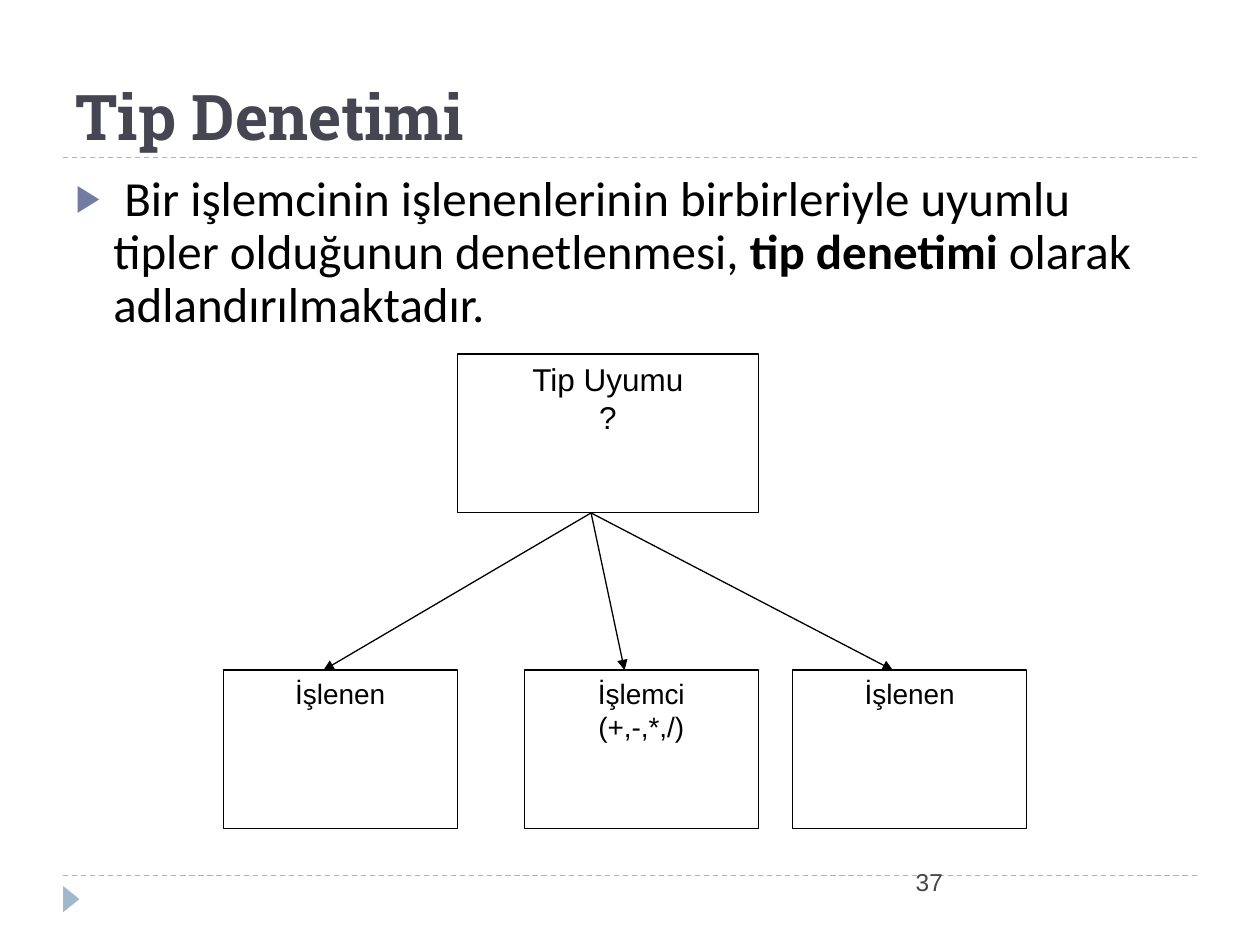
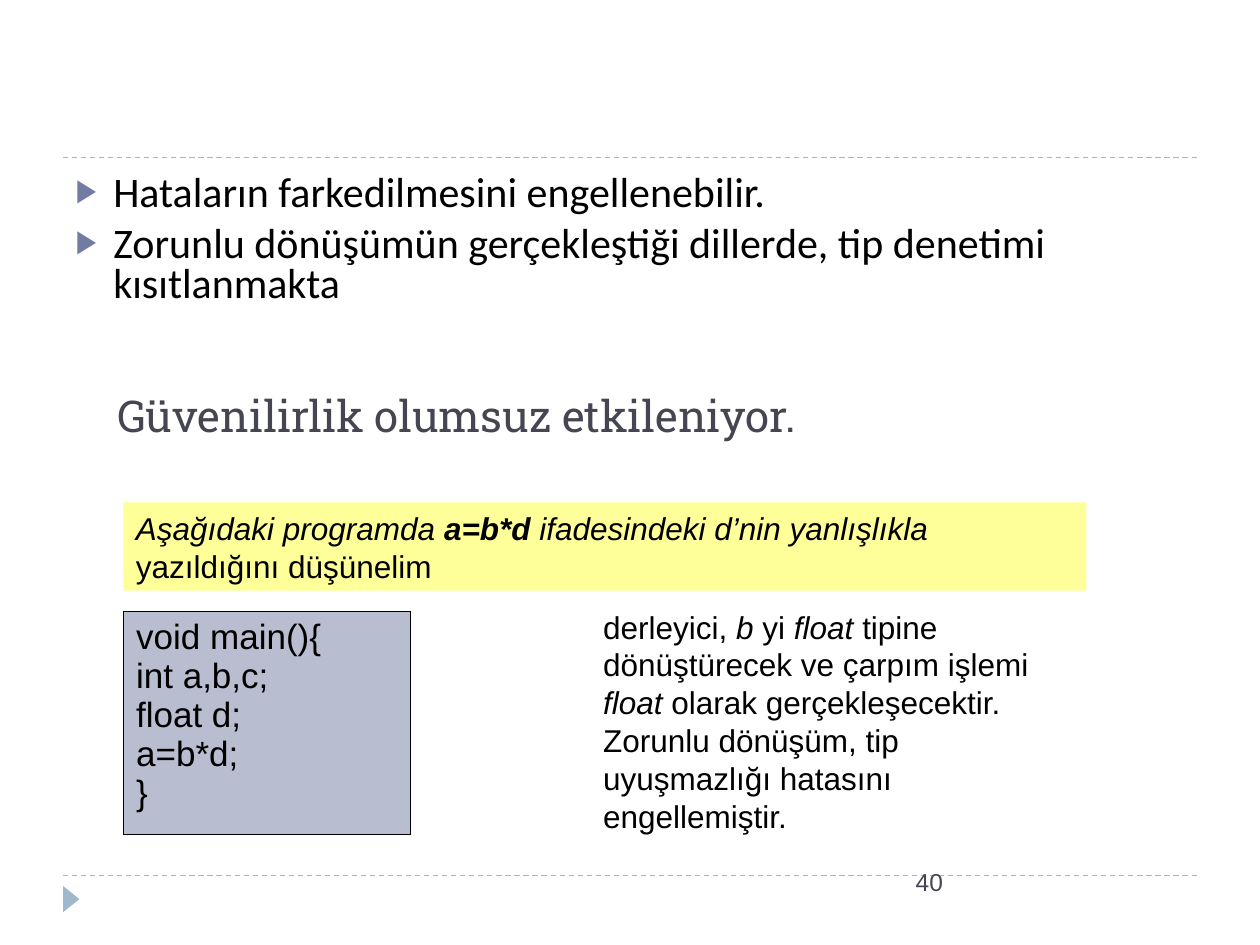
from dataclasses import dataclass

from lxml.etree import SubElement
from pptx import Presentation
from pptx.dml.color import RGBColor
from pptx.enum.dml import MSO_LINE
from pptx.enum.shapes import MSO_CONNECTOR, MSO_SHAPE
from pptx.enum.text import MSO_ANCHOR, MSO_AUTO_SIZE, PP_ALIGN
from pptx.oxml.ns import qn
from pptx.util import Cm, Pt


@dataclass(frozen=True)
class Theme:
    ink: RGBColor = RGBColor.from_string("000000")
    paper: RGBColor = RGBColor.from_string("FFFFFF")
    heading: RGBColor = RGBColor.from_string("464653")
    accent: RGBColor = RGBColor.from_string("727CA3")
    rule: RGBColor = RGBColor.from_string("9FB8CD")
    highlight: RGBColor = RGBColor.from_string("FFFF99")
    title_font: str = "Roboto Slab"
    body_font: str = "Calibri"
    label_font: str = "Arial"
    code_size: int = 20
    note_size: int = 18
    box_size: int = 16
    number_size: int = 14
    line_width: float = 0.75


theme = Theme()


def add_xml(parent, tag, **attributes):
    return SubElement(parent, qn(tag), attributes)


def write(frame, paragraphs, size, font=theme.label_font, colour=theme.ink,
          alignment=PP_ALIGN.LEFT, anchor=MSO_ANCHOR.TOP):
    frame.word_wrap = True
    frame.vertical_anchor = anchor
    for index, runs in enumerate(paragraphs):
        paragraph = frame.add_paragraph() if index else frame.paragraphs[0]
        paragraph.alignment = alignment
        for text, style in runs:
            run = paragraph.add_run()
            run.text = text
            run.font.name = font
            run.font.size = Pt(size)
            run.font.bold = "b" in style
            run.font.italic = "i" in style
            run.font.color.rgb = colour


presentation = Presentation()
presentation.slide_width = Cm(25.4)
presentation.slide_height = Cm(19.05)
layout = presentation.slide_layouts[1]

pages = [
    dict(
        number="37",
        title="Tip Denetimi", title_style="b", title_size=36,
        title_place=(1.27, 2.11, 22.86, 0.97),
        body_place=(1.27, 3.38, 22.63, 3.81), body_size=28, line_spacing=0.9,
        body=[[
            (" Bir işlemcinin işlenenlerinin birbirleriyle uyumlu tipler "
             "olduğunun denetlenmesi,", ""),
            (" tip denetimi", "b"),
            (" olarak adlandırılmaktadır.", ""),
        ]],
    ),
    dict(
        number="40",
        title="Güvenilirlik olumsuz etkileniyor.", title_style="", title_size=25,
        title_place=(2.11, 8.13, 22.86, 0.76),
        body_place=(1.27, 3.4, 22.43, 3.53), body_size=24, line_spacing=0.8,
        body=[
            [("Hataların farkedilmesini engellenebilir.", "")],
            [("Zorunlu dönüşümün gerçekleştiği dillerde, tip denetimi kısıtlanmakta", "")],
        ],
    ),
]

for page in pages:
    slide = presentation.slides.add_slide(layout)
    title, body = slide.placeholders
    for placeholder, place in ((title, page["title_place"]), (body, page["body_place"])):
        placeholder.left, placeholder.top, placeholder.width, placeholder.height = map(Cm, place)
        placeholder.text_frame.auto_size = MSO_AUTO_SIZE.NONE

    write(title.text_frame, [[(page["title"], page["title_style"])]], page["title_size"],
          theme.title_font, theme.heading, anchor=MSO_ANCHOR.BOTTOM)
    title.text_frame.margin_top = title.text_frame.margin_bottom = 0

    write(body.text_frame, page["body"], page["body_size"], theme.body_font)
    for paragraph in body.text_frame.paragraphs:
        paragraph.line_spacing = page["line_spacing"]
        paragraph.space_before = Pt(6)
        properties = paragraph._p.get_or_add_pPr()
        properties.set("marL", str(Cm(0.76)))
        properties.set("indent", str(Cm(-0.76)))
        add_xml(add_xml(properties, "a:buClr"), "a:srgbClr", val=str(theme.accent))
        add_xml(properties, "a:buSzPct", val="76000")
        add_xml(properties, "a:buChar", char="▶")

    number_box = slide.shapes.add_textbox(Cm(18.21), Cm(17.35), Cm(5.92), Cm(1.32))
    write(number_box.text_frame, [[(page["number"], "")]], theme.number_size,
          colour=theme.heading)

checking_slide, conversion_slide = presentation.slides

for rule_top in (17.65, 3.18):
    rule = checking_slide.shapes.add_connector(
        MSO_CONNECTOR.STRAIGHT, Cm(1.27), Cm(rule_top), Cm(24.13), Cm(rule_top))
    rule.line.color.rgb = theme.rule
    rule.line.width = Pt(theme.line_width)
    rule.line.dash_style = MSO_LINE.DASH
    add_xml(rule.element.spPr, "a:effectLst")
    layout.shapes.element.append(rule.element)

marker = checking_slide.shapes.add_shape(
    MSO_SHAPE.ISOSCELES_TRIANGLE, Cm(1.17), Cm(17.96), Cm(0.53), Cm(0.33))
marker.rotation = 90
marker.shadow.inherit = False
marker.fill.solid()
marker.fill.fore_color.rgb = theme.rule
marker.line.fill.background()
layout.shapes.element.append(marker.element)

root_left, root_top, root_width, box_height = 9.22, 7.14, 6.07, 3.2
child_top, child_width, arrow_shift = 13.51, 4.72, -0.34
boxes = [
    (root_left, root_top, root_width, theme.note_size, ["Tip Uyumu", "?"]),
    (4.5, child_top, child_width, theme.box_size, ["İşlenen"]),
    (10.57, child_top, child_width, theme.box_size, ["İşlemci", "(+,-,*,/)"]),
    (15.98, child_top, child_width, theme.box_size, ["İşlenen"]),
]
diagram = checking_slide.shapes.add_group_shape()
for left, top, width, size, lines in boxes:
    box = diagram.shapes.add_shape(
        MSO_SHAPE.RECTANGLE, Cm(left), Cm(top), Cm(width), Cm(box_height))
    box.shadow.inherit = False
    box.fill.solid()
    box.fill.fore_color.rgb = theme.paper
    box.line.color.rgb = theme.ink
    box.line.width = Pt(theme.line_width)
    write(box.text_frame, [[(line, "")] for line in lines], size,
          alignment=PP_ALIGN.CENTER)

for left, top, width, size, lines in boxes[1:]:
    arrow = diagram.shapes.add_connector(
        MSO_CONNECTOR.STRAIGHT,
        Cm(root_left + root_width / 2 + arrow_shift), Cm(root_top + box_height),
        Cm(left + width / 2 + arrow_shift), Cm(top))
    arrow.line.color.rgb = theme.ink
    arrow.line.width = Pt(theme.line_width)
    add_xml(arrow.line._get_or_add_ln(), "a:tailEnd", type="triangle")
    add_xml(arrow.element.spPr, "a:effectLst")

code_table = conversion_slide.shapes.add_table(
    1, 1, Cm(2.49), Cm(12.32), Cm(5.79), Cm(4.5)).table
code_cell = code_table.cell(0, 0)
code_lines = ["void main(){", "int a,b,c;", "float d;", "a=b*d;", "}"]
write(code_cell.text_frame, [[(line, "")] for line in code_lines], theme.code_size,
      alignment=PP_ALIGN.JUSTIFY)
cell_properties = code_cell._tc.get_or_add_tcPr()
for side in ("a:lnL", "a:lnR", "a:lnT", "a:lnB"):
    border = add_xml(cell_properties, side, w=str(Pt(0.45)))
    add_xml(add_xml(border, "a:solidFill"), "a:srgbClr", val=str(theme.ink))
cell_fill = add_xml(add_xml(cell_properties, "a:solidFill"), "a:srgbClr",
                    val=str(theme.accent))
add_xml(cell_fill, "a:alpha", val="50000")

explanation = conversion_slide.shapes.add_textbox(Cm(11.91), Cm(12.12), Cm(9.6), Cm(4.83))
write(explanation.text_frame, [[
    ("derleyici, ", ""),
    ("b", "i"),
    (" yi", ""),
    (" float", "i"),
    (" tipine dönüştürecek ve çarpım işlemi ", ""),
    ("float", "i"),
    (" olarak gerçekleşecektir. Zorunlu dönüşüm, tip uyuşmazlığı hatasını "
     "engellemiştir.", ""),
]], theme.note_size, anchor=MSO_ANCHOR.MIDDLE)

premise = conversion_slide.shapes.add_shape(
    MSO_SHAPE.RECTANGLE, Cm(2.49), Cm(10.13), Cm(19.41), Cm(1.78))
premise.shadow.inherit = False
premise.fill.solid()
premise.fill.fore_color.rgb = theme.highlight
premise.line.fill.background()
write(premise.text_frame, [[
    ("Aşağıdaki programda ", "i"),
    ("a=b*d", "bi"),
    (" ifadesindeki d’nin yanlışlıkla ", "i"),
    ("yazıldığını düşünelim", ""),
]], theme.note_size, anchor=MSO_ANCHOR.MIDDLE)

presentation.save("out.pptx")
